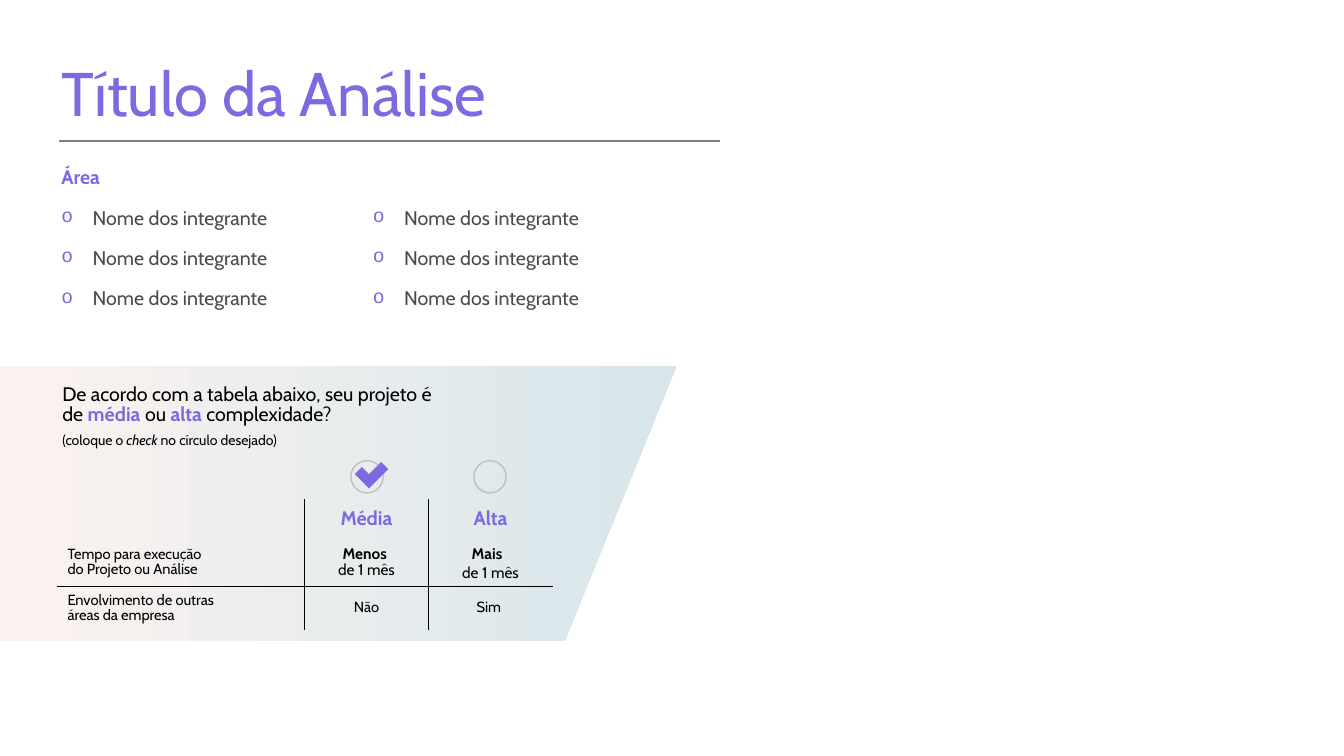
from lxml.etree import SubElement
from pptx import Presentation
from pptx.dml.color import RGBColor
from pptx.enum.shapes import MSO_CONNECTOR, MSO_SHAPE
from pptx.enum.text import MSO_ANCHOR, PP_ALIGN
from pptx.oxml.ns import qn
from pptx.util import Inches, Pt

FONT = "Cabin"
PURPLE = "7E69E0"
GREY = "4B4B4B"
BLACK = "000000"
MEMBER = "Nome dos integrante"


def color(value):
    return RGBColor.from_string(value)


def add_run(paragraph, text, size, ink=BLACK, bold=False, italic=False):
    run = paragraph.add_run()
    run.text = text
    run.font.name = FONT
    run.font.size = Pt(size)
    run.font.color.rgb = color(ink)
    run.font.bold = bold
    run.font.italic = italic


def add_text_frame(slide, left, top, width, height, anchor=MSO_ANCHOR.TOP):
    box = slide.shapes.add_textbox(Inches(left), Inches(top), Inches(width), Inches(height))
    frame = box.text_frame
    frame.word_wrap = True
    frame.vertical_anchor = anchor
    return frame


def next_paragraph(frame):
    first = frame.paragraphs[0]
    return frame.add_paragraph() if first.runs else first


def add_members(frame, count):
    for _ in range(count):
        paragraph = next_paragraph(frame)
        paragraph.space_after = Pt(12)
        props = paragraph._p.get_or_add_pPr()
        props.set("marL", str(Inches(0.31)))
        props.set("indent", str(-Inches(0.31)))
        bullet_color = SubElement(props, qn("a:buClr"))
        SubElement(bullet_color, qn("a:srgbClr"), val=PURPLE)
        SubElement(props, qn("a:buFont"), typeface="Courier New")
        SubElement(props, qn("a:buChar"), char="o")
        add_run(paragraph, MEMBER, 14, GREY)


def add_panel(slide):
    builder = slide.shapes.build_freeform(Inches(0), Inches(3.63), scale=1.0)
    corners = [(6.71, 3.63), (5.6, 6.36), (0, 6.36)]
    builder.add_line_segments([(Inches(x), Inches(y)) for x, y in corners], close=True)
    panel = builder.convert_to_shape()
    panel.shadow.inherit = False
    panel.line.fill.background()
    panel.fill.gradient()
    panel.fill.gradient_angle = 0
    for stop, position, tint in zip(panel.fill.gradient_stops, (0, 1), ("FBF3F0", "D7E6EB")):
        stop.position = position
        stop.color.rgb = color(tint)


def add_title_rule(slide):
    rule = slide.shapes.add_connector(
        MSO_CONNECTOR.STRAIGHT, Inches(0.59), Inches(1.4), Inches(7.14), Inches(1.4))
    rule.line.color.rgb = color("7F7F7F")
    rule.line.width = Pt(1)
    SubElement(rule._element.spPr, qn("a:effectLst"))


def add_option_circle(slide, left):
    circle = slide.shapes.add_shape(
        MSO_SHAPE.OVAL, Inches(left), Inches(4.57), Inches(0.32), Inches(0.32))
    circle.shadow.inherit = False
    circle.fill.background()
    circle.line.color.rgb = color("BFBFBF")
    circle.line.width = Pt(1)


def add_check(slide):
    check = slide.shapes.add_shape(
        MSO_SHAPE.CORNER, Inches(3.55), Inches(4.58), Inches(0.27), Inches(0.2))
    check.rotation = 315
    check.shadow.inherit = False
    check.fill.solid()
    check.fill.fore_color.rgb = color(PURPLE)
    check.line.fill.background()


def set_borders(cell, visible_sides):
    props = cell._tc.get_or_add_tcPr()
    for side in "LRTB":
        border = SubElement(props, qn(f"a:ln{side}"), w=str(Pt(0.5)))
        if side in visible_sides:
            fill = SubElement(border, qn("a:solidFill"))
            SubElement(fill, qn("a:srgbClr"), val=BLACK)
        else:
            SubElement(border, qn("a:noFill"))


def fill_cell(cell, lines, centred, spacing):
    cell.vertical_anchor = MSO_ANCHOR.MIDDLE
    paragraph = cell.text_frame.paragraphs[0]
    if centred:
        paragraph.alignment = PP_ALIGN.CENTER
    paragraph.line_spacing = spacing
    for index, line in enumerate(lines):
        if index:
            paragraph.add_line_break()
        add_run(paragraph, *line)


def add_complexity_table(slide):
    rows = [
        [[], [("Média", 14, PURPLE, True)], [("Alta", 14, PURPLE, True)]],
        [[("Tempo para execução ", 10.5), ("do Projeto ou Análise", 10.5)],
         [("Menos ", 11, BLACK, True), ("de 1 mês", 11)],
         [("Mais  ", 11, BLACK, True), ("de 1 mês", 11)]],
        [[("Envolvimento de outras ", 10.5), ("áreas da empresa", 10.5)],
         [("Não", 10.5)], [("Sim ", 10.5)]],
    ]
    table = slide.shapes.add_table(
        3, 3, Inches(0.57), Inches(4.95), Inches(4.91), Inches(1.25)).table
    table.first_row = False
    table.horz_banding = False
    for column, width in zip(table.columns, (2.45, 1.23, 1.23)):
        column.width = Inches(width)
    for row, height in zip(table.rows, (0.39, 0.43, 0.43)):
        row.height = Inches(height)
    for r, row in enumerate(rows):
        for c, lines in enumerate(row):
            cell = table.cell(r, c)
            sides = ("L" if c else "") + ("R" if c < 2 else "")
            sides += {0: "", 1: "B", 2: "T"}[r]
            set_borders(cell, sides)
            cell.fill.background()
            if lines:
                fill_cell(cell, lines, c > 0, 1.0 if (r, c) == (1, 2) else 0.85)


def add_question(slide):
    frame = add_text_frame(slide, 0.52, 3.78, 3.96, 0.73)
    paragraphs = [
        [("De acordo com a tabela abaixo, seu projeto é de ", 14),
         ("média", 14, PURPLE, True), (" ou", 14),
         (" alta ", 14, PURPLE, True), ("complexidade?", 14)],
        [("(coloque o ", 10), ("check", 10, BLACK, False, True),
         (" no círculo desejado)", 10)],
    ]
    for runs in paragraphs:
        paragraph = next_paragraph(frame)
        paragraph.line_spacing = 0.85
        paragraph.space_after = Pt(6)
        for run in runs:
            add_run(paragraph, *run)


def main():
    deck = Presentation()
    deck.slide_width = Inches(13.33)
    deck.slide_height = Inches(7.5)
    slide = deck.slides.add_slide(deck.slide_layouts[6])

    add_panel(slide)
    title = add_text_frame(slide, 0.51, 0.49, 6.56, 0.84, MSO_ANCHOR.MIDDLE)
    add_run(title.paragraphs[0], "Título da Análise", 44, PURPLE)

    area = add_text_frame(slide, 0.51, 1.59, 2.71, 1.55)
    area.paragraphs[0].space_after = Pt(12)
    add_run(area.paragraphs[0], "Área", 14, PURPLE, True)
    add_members(area, 3)

    add_title_rule(slide)
    add_complexity_table(slide)
    for left in (3.48, 4.7):
        add_option_circle(slide, left)
    add_check(slide)
    add_members(add_text_frame(slide, 3.6, 1.99, 2.71, 1.14), 3)
    add_question(slide)

    deck.save("out.pptx")


if __name__ == "__main__":
    main()
